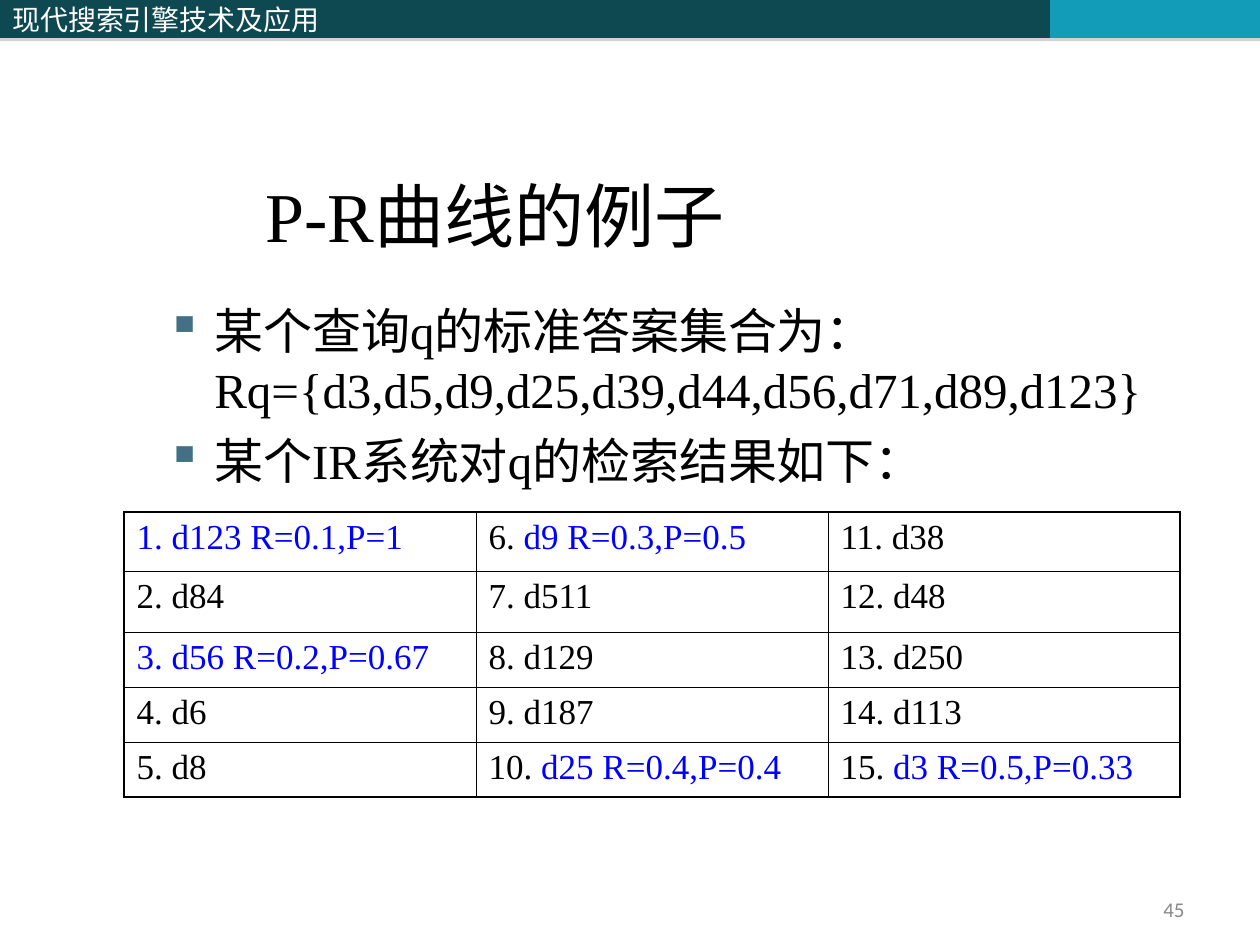
from lxml import etree
from pptx import Presentation
from pptx.dml.color import RGBColor
from pptx.enum.shapes import MSO_SHAPE
from pptx.enum.text import MSO_ANCHOR, MSO_AUTO_SIZE, PP_ALIGN
from pptx.oxml.ns import qn
from pptx.util import Emu, Pt

RECTANGLE = MSO_SHAPE.RECTANGLE
MIDDLE, BOTTOM = MSO_ANCHOR.MIDDLE, MSO_ANCHOR.BOTTOM
LEFT, RIGHT = PP_ALIGN.LEFT, PP_ALIGN.RIGHT
NO_AUTOFIT = MSO_AUTO_SIZE.NONE
SERIF, CHINESE = "Times New Roman", "Noto Sans CJK SC"
BLACK, BLUE, WHITE = "000000", "0000FF", "FFFFFF"

# Content
HEADER = "现代搜索引擎技术及应用"
TITLE = "P-R曲线的例子"
BULLETS = [
    "某个查询q的标准答案集合为：Rq={d3,d5,d9,d25,d39,d44,d56,d71,d89,d123}",
    "某个IR系统对q的检索结果如下：",
]
PAGE_NUMBER = "45"
# Each result has a black part and a blue part
RESULTS = [
    [("", "1. d123 R=0.1,P=1"), ("6. ", "d9 R=0.3,P=0.5"), ("11. d38", "")],
    [("2. d84", ""), ("7. d511", ""), ("12. d48", "")],
    [("", "3. d56 R=0.2,P=0.67"), ("8. d129", ""), ("13. d250", "")],
    [("4. d6", ""), ("9. d187", ""), ("14. d113", "")],
    [("5. d8", ""), ("10. ", "d25 R=0.4,P=0.4"), ("15. ", "d3 R=0.5,P=0.33")],
]

# Layout in px
SLIDE_SIZE = (1260, 945)
BANNER_HEIGHT = 38
BANNER = [(514, "0E4851", HEADER), (536, "0E4851", ""), (210, "139CB7", "")]
TITLE_BOX = (253, 106, 949, 157)
BODY_BOX = (154, 294, 1022, 208)
NUMBER_BOX = (903, 892, 294, 34)
TABLE_LEFT, TABLE_TOP, COLUMN_WIDTH = 124, 512, 352
ROW_HEIGHTS = [59, 61, 55, 55, 55]
BULLET_INDENT = 48
THIN, THICK = 0.45, 1.08


def px(value):
    return Emu(round(value * 914400 / 126))


def color(value):
    return RGBColor.from_string(value)


def add_element(parent, tag, **attributes):
    return etree.SubElement(parent, qn(tag), attributes)


def format_runs(paragraph, size, value, latin=SERIF):
    for run in paragraph.runs:
        run.font.size = Pt(size)
        run.font.name = latin
        run.font.color.rgb = color(value)
        add_element(run.font._element, "a:ea", typeface=CHINESE)


def add_text_box(slide, box):
    frame = slide.shapes.add_textbox(*map(px, box)).text_frame
    frame.word_wrap = True
    return frame


def add_shadow(shape):
    effects = add_element(shape._element.spPr, "a:effectLst")
    shadow = add_element(effects, "a:outerShdw", dist=str(Pt(1.8)), dir="5400000",
                         algn="ctr", rotWithShape="0")
    shade = add_element(shadow, "a:srgbClr", val="808080")
    add_element(shade, "a:alpha", val="35000")


def add_banner(slide):
    left = 0
    for width, fill, text in BANNER:
        shape = slide.shapes.add_shape(
            RECTANGLE, px(left), 0, px(width), px(BANNER_HEIGHT))
        shape.fill.solid()
        shape.fill.fore_color.rgb = color(fill)
        shape.line.fill.background()
        add_shadow(shape)
        if text:
            frame = shape.text_frame
            frame.text = text
            frame.vertical_anchor = MIDDLE
            frame.paragraphs[0].alignment = LEFT
            format_runs(frame.paragraphs[0], 16, WHITE, CHINESE)
        left += width


def add_title(slide):
    title = slide.shapes.title
    title.left, title.top, title.width, title.height = map(px, TITLE_BOX)
    frame = title.text_frame
    frame.text = TITLE
    frame.auto_size = NO_AUTOFIT
    frame.vertical_anchor = BOTTOM
    frame.paragraphs[0].alignment = LEFT
    format_runs(frame.paragraphs[0], 40, BLACK)


def add_bullets(slide):
    frame = add_text_box(slide, BODY_BOX)
    for index, text in enumerate(BULLETS):
        paragraph = frame.add_paragraph() if index else frame.paragraphs[0]
        paragraph.text = text
        if index:
            paragraph.space_before = Pt(7)
        properties = paragraph._p.get_or_add_pPr()
        properties.set("marL", str(px(BULLET_INDENT)))
        properties.set("indent", str(-px(BULLET_INDENT)))
        bullet_color = add_element(properties, "a:buClr")
        add_element(bullet_color, "a:srgbClr", val="437085")
        add_element(properties, "a:buChar", char="▪")
        format_runs(paragraph, 28, BLACK)


def set_borders(cell, widths):
    properties = cell._tc.get_or_add_tcPr()
    for index, (side, width) in enumerate(zip("LRTB", widths)):
        line = etree.Element(qn("a:ln" + side), w=str(Pt(width)))
        fill = add_element(line, "a:solidFill")
        add_element(fill, "a:srgbClr", val=BLACK)
        properties.insert(index, line)


def add_results(slide):
    row_count, column_count = len(RESULTS), len(RESULTS[0])
    table = slide.shapes.add_table(
        row_count, column_count, px(TABLE_LEFT), px(TABLE_TOP),
        px(COLUMN_WIDTH * column_count), px(sum(ROW_HEIGHTS))).table
    table.first_row = table.horz_banding = False
    for column in table.columns:
        column.width = px(COLUMN_WIDTH)
    for row_index, (height, results) in enumerate(zip(ROW_HEIGHTS, RESULTS)):
        table.rows[row_index].height = px(height)
        for column_index, parts in enumerate(results):
            cell = table.cell(row_index, column_index)
            cell.fill.background()
            outer = (column_index == 0, column_index == column_count - 1,
                     row_index == 0, row_index == row_count - 1)
            set_borders(cell, [THICK if edge else THIN for edge in outer])
            paragraph = cell.text_frame.paragraphs[0]
            for text in filter(None, parts):
                paragraph.add_run().text = text
            format_runs(paragraph, 20, BLACK)
            if parts[1]:
                paragraph.runs[-1].font.color.rgb = color(BLUE)


def add_page_number(slide):
    frame = add_text_box(slide, NUMBER_BOX)
    frame.text = PAGE_NUMBER
    frame.vertical_anchor = MIDDLE
    frame.paragraphs[0].alignment = RIGHT
    format_runs(frame.paragraphs[0], 12, "898989", "Calibri")


def main():
    presentation = Presentation()
    presentation.slide_width, presentation.slide_height = map(px, SLIDE_SIZE)
    slide = presentation.slides.add_slide(presentation.slide_layouts[5])
    add_banner(slide)
    add_title(slide)
    add_bullets(slide)
    add_results(slide)
    add_page_number(slide)
    presentation.save("out.pptx")


if __name__ == "__main__":
    main()
